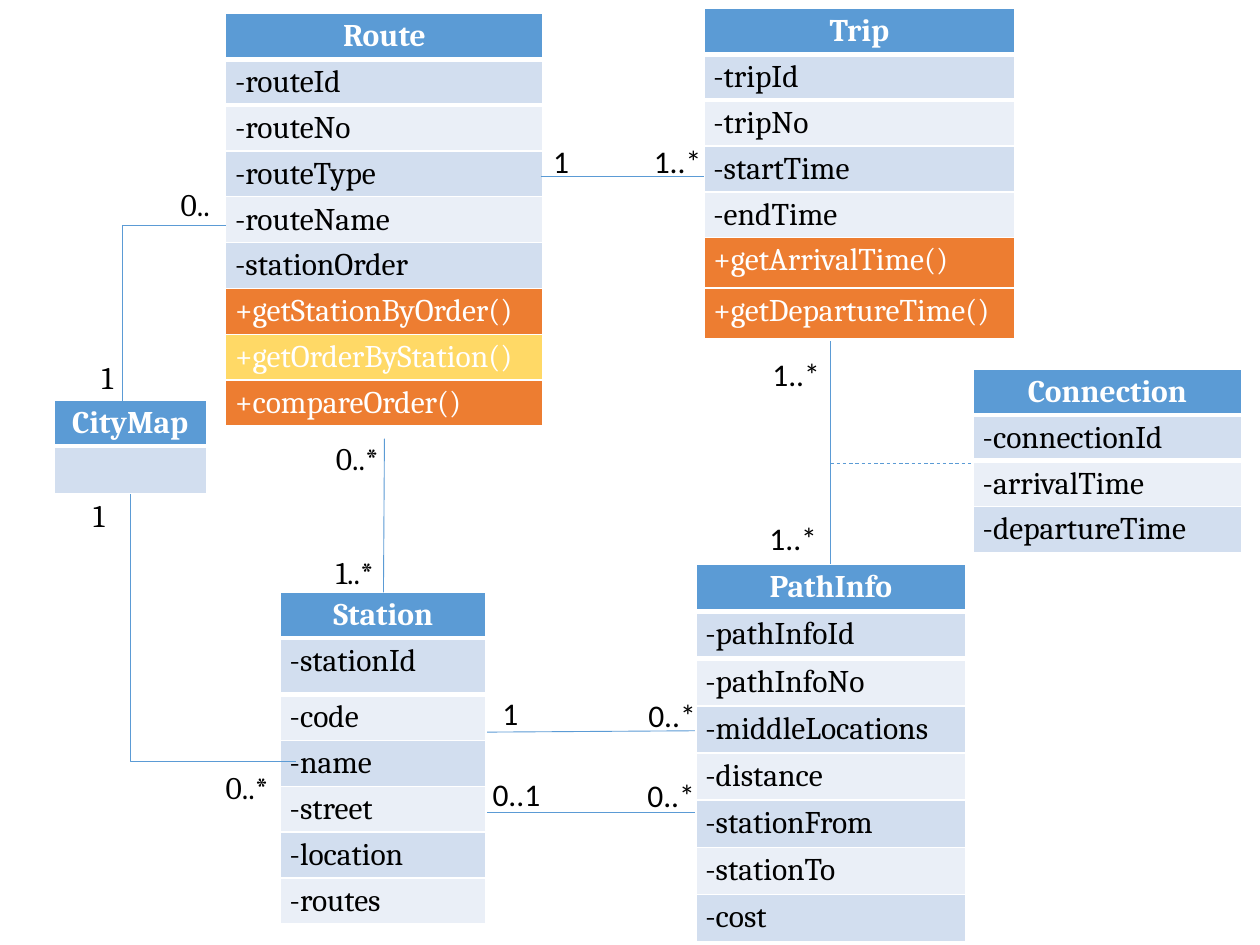
from dataclasses import dataclass, field

from lxml.etree import SubElement
from pptx import Presentation
from pptx.dml.color import RGBColor
from pptx.enum.dml import MSO_LINE_DASH_STYLE as Dash
from pptx.enum.shapes import MSO_CONNECTOR as ConnectorType
from pptx.enum.text import MSO_AUTO_SIZE as AutoSize, PP_ALIGN as Align
from pptx.oxml.ns import qn
from pptx.slide import Slide
from pptx.util import Cm, Pt


@dataclass(frozen=True)
class Theme:
    header: RGBColor = RGBColor(0x5B, 0x9B, 0xD5)
    bands: tuple = (RGBColor(0xD2, 0xDE, 0xEF), RGBColor(0xEA, 0xEF, 0xF7))
    method: RGBColor = RGBColor(0xED, 0x7D, 0x31)
    highlight: RGBColor = RGBColor(0xFF, 0xD9, 0x66)
    dark: RGBColor = RGBColor(0, 0, 0)
    light: RGBColor = RGBColor(0xFF, 0xFF, 0xFF)
    serif: str = "Cambria"
    sans: str = "Calibri"
    text_size: Pt = Pt(18)
    line_width: Pt = Pt(0.5)
    header_rule: Pt = Pt(3)


@dataclass(frozen=True)
class ClassBox:
    name: str
    left: float
    top: float
    width: float
    height: float
    members: tuple
    row_height: float = 0.71
    method_height: float = 0.71
    special_heights: dict = field(default_factory=dict)
    highlighted: str = ""


@dataclass(frozen=True)
class Link:
    start: tuple
    end: tuple
    bent: bool = False
    dashed: bool = False


@dataclass(frozen=True)
class Label:
    text: str
    left: float
    top: float
    width: float
    font: str


THEME = Theme()
LABEL_HEIGHT = 1.02

CLASS_BOXES = (
    ClassBox("Route", 4.55, 0.27, 6.4, 8.59,
             ("-routeId", "-routeNo", "-routeType", "-routeName", "-stationOrder",
              "+getStationByOrder()", "+getOrderByStation()", "+compareOrder()"),
             method_height=0.76, highlighted="+getOrderByStation()"),
    ClassBox("Trip", 14.19, 0.17, 6.27, 6.78,
             ("-tripId", "-tripNo", "-startTime", "-endTime",
              "+getArrivalTime()", "+getDepartureTime()"),
             row_height=0.89, method_height=1.02),
    ClassBox("Connection", 19.62, 7.44, 5.41, 3.81,
             ("-connectionId", "-arrivalTime", "-departureTime")),
    ClassBox("Station", 5.65, 11.94, 4.15, 6.86,
             ("-stationId", "-code", "-name", "-street", "-location", "-routes"),
             special_heights={"-stationId": 1.14, "-name": 0.79}),
    ClassBox("CityMap", 1.09, 8.07, 3.07, 1.91, ("",)),
    ClassBox("PathInfo", 14.03, 11.38, 5.44, 7.6,
             ("-pathInfoId", "-pathInfoNo", "-middleLocations", "-distance",
              "-stationFrom", "-stationTo", "-cost"),
             row_height=0.95),
)

BACK_LINKS = (
    Link((9.6, 16.38), (14.2, 16.38)),
    Link((9.6, 14.76), (14.2, 14.73)),
    Link((16.74, 6.88), (16.74, 11.38)),
    Link((16.74, 9.35), (19.61, 9.35), dashed=True),
)

FRONT_LINKS = (
    Link((10.9, 3.56), (14.2, 3.56)),
    Link((7.75, 8.84), (7.73, 11.94)),
    Link((4.55, 4.55), (2.47, 8.08), bent=True),
    Link((5.97, 15.35), (2.64, 9.96), bent=True),
)

LABELS = (
    Label("1", 9.88, 13.87, 0.84, THEME.sans),
    Label("0..1", 9.68, 15.49, 1.47, THEME.sans),
    Label("1..*", 15.32, 7.04, 1.47, THEME.sans),
    Label("1", 10.9, 2.73, 0.84, THEME.sans),
    Label("1..*", 12.93, 2.73, 1.47, THEME.sans),
    Label("0..*", 6.52, 8.72, 1.42, THEME.serif),
    Label("1..*", 6.52, 11.02, 1.42, THEME.serif),
    Label("0..", 3.39, 3.61, 1.17, THEME.serif),
    Label("1", 1.8, 7.09, 0.86, THEME.serif),
    Label("0..*", 4.3, 15.35, 1.42, THEME.serif),
    Label("1", 1.63, 9.88, 0.86, THEME.serif),
    Label("0..*", 12.82, 13.9, 1.47, THEME.sans),
    Label("0..*", 12.8, 15.52, 1.47, THEME.sans),
    Label("1..*", 15.26, 10.34, 1.47, THEME.sans),
)


def add_text(paragraph, text: str, font: str, color: RGBColor, bold: bool = False) -> None:
    run = paragraph.add_run()
    run.text = text
    run.font.name = font
    run.font.size = THEME.text_size
    run.font.bold = bold
    run.font.color.rgb = color


def set_rule(cell, side: str) -> None:
    properties = cell._tc.get_or_add_tcPr()
    rule = SubElement(properties, qn(f"a:{side}"), w=str(int(THEME.header_rule)))
    fill = SubElement(rule, qn("a:solidFill"))
    SubElement(fill, qn("a:srgbClr"), val=str(THEME.light))
    properties.insert(0, rule)


def fill_cell(cell, text: str, fill: RGBColor, color: RGBColor, header: bool = False) -> None:
    cell.margin_left = cell.margin_right = Cm(0.19)
    cell.margin_top = Cm(0.1)
    cell.margin_bottom = Cm(0.09)
    cell.fill.solid()
    cell.fill.fore_color.rgb = fill
    paragraph = cell.text_frame.paragraphs[0]
    if header:
        paragraph.alignment = Align.CENTER
    if text:
        add_text(paragraph, text, THEME.serif, color, header)


def draw_class_box(slide: Slide, box: ClassBox) -> None:
    frame = slide.shapes.add_table(len(box.members) + 1, 1, Cm(box.left), Cm(box.top),
                                   Cm(box.width), Cm(box.height))
    table = frame.table
    table.rows[0].height = Cm(box.row_height)
    fill_cell(table.cell(0, 0), box.name, THEME.header, THEME.light, header=True)
    for index, member in enumerate(box.members):
        is_method = member.startswith("+")
        height = box.method_height if is_method else box.row_height
        table.rows[index + 1].height = Cm(box.special_heights.get(member, height))
        if is_method:
            fill = THEME.highlight if member == box.highlighted else THEME.method
        else:
            fill = THEME.bands[index % 2]
        color = THEME.light if is_method else THEME.dark
        fill_cell(table.cell(index + 1, 0), member, fill, color)
    set_rule(table.cell(0, 0), "lnB")
    set_rule(table.cell(1, 0), "lnT")
    frame.height = Cm(box.height)


def draw_link(slide: Slide, link: Link) -> None:
    kind = ConnectorType.ELBOW if link.bent else ConnectorType.STRAIGHT
    connector = slide.shapes.add_connector(kind, *map(Cm, link.start + link.end))
    connector.line.color.rgb = THEME.header
    connector.line.width = THEME.line_width
    if link.dashed:
        connector.line.dash_style = Dash.DASH
    properties = connector._element.spPr
    if link.bent:
        properties.find(qn("a:prstGeom")).set("prst", "bentConnector2")
    SubElement(properties, qn("a:effectLst"))


def draw_label(slide: Slide, label: Label) -> None:
    shape = slide.shapes.add_textbox(Cm(label.left), Cm(label.top),
                                     Cm(label.width), Cm(LABEL_HEIGHT))
    shape.text_frame.word_wrap = False
    shape.text_frame.auto_size = AutoSize.SHAPE_TO_FIT_TEXT
    add_text(shape.text_frame.paragraphs[0], label.text, label.font, THEME.dark)


def main() -> None:
    presentation = Presentation()
    presentation.slide_width = Cm(25.4)
    presentation.slide_height = Cm(19.05)
    slide = presentation.slides.add_slide(presentation.slide_layouts[6])
    for link in BACK_LINKS:
        draw_link(slide, link)
    for box in CLASS_BOXES:
        draw_class_box(slide, box)
    for link in FRONT_LINKS:
        draw_link(slide, link)
    for label in LABELS:
        draw_label(slide, label)
    presentation.save("out.pptx")


if __name__ == "__main__":
    main()
